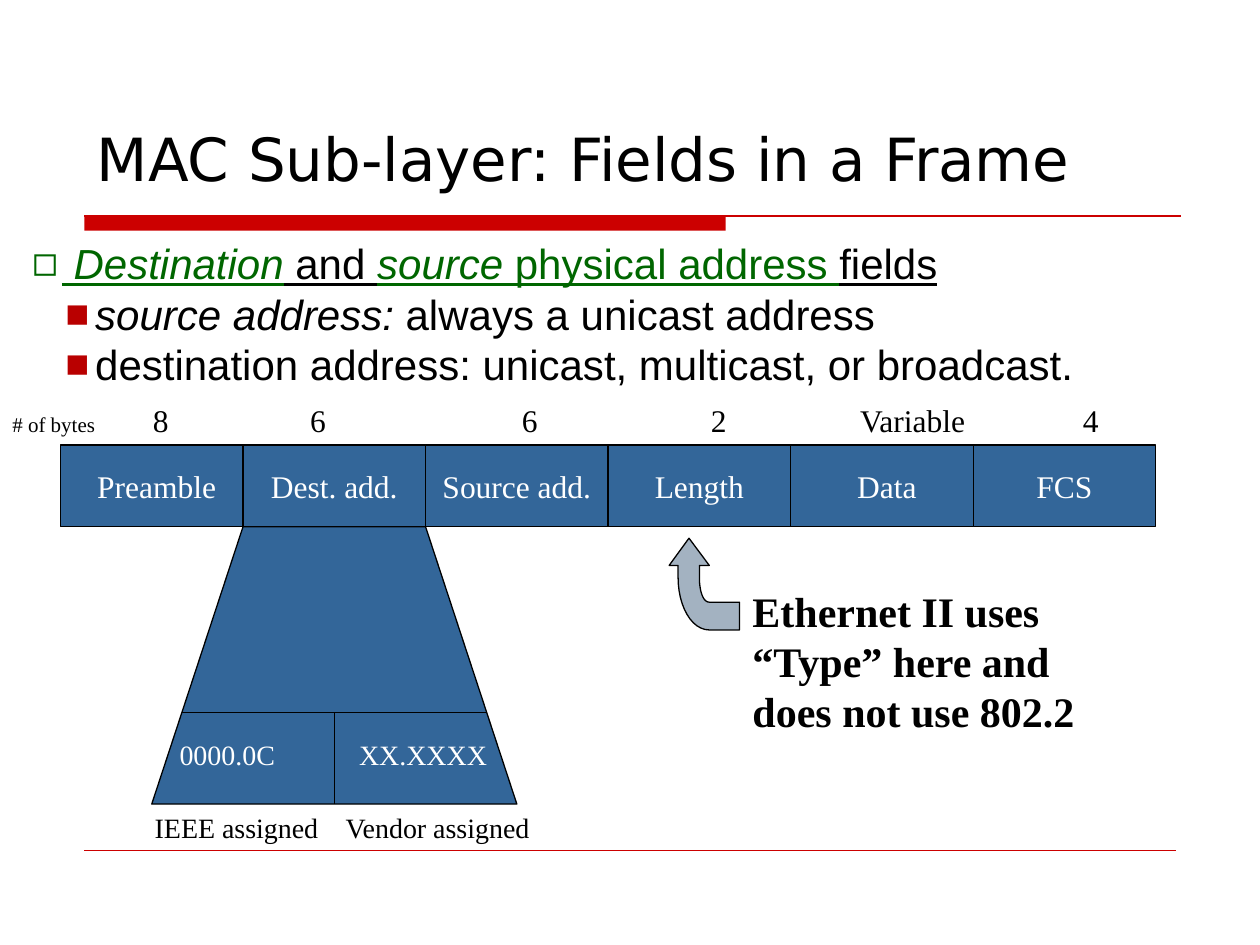
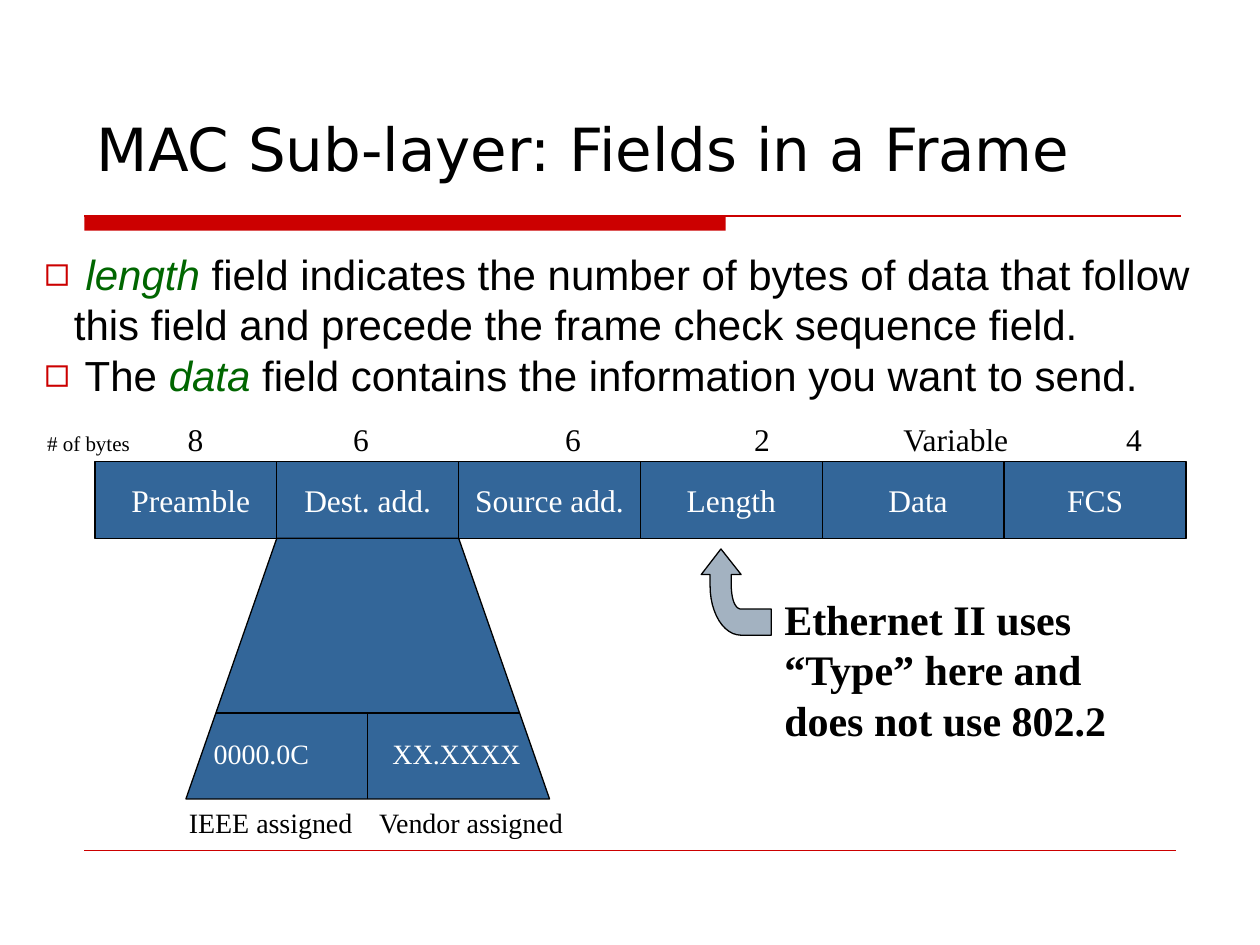
"""Build two slides on the fields of a MAC frame."""
from dataclasses import dataclass

from lxml.etree import SubElement
from pptx import Presentation
from pptx.dml.color import RGBColor
from pptx.enum.shapes import MSO_CONNECTOR, MSO_SHAPE
from pptx.enum.text import MSO_ANCHOR, MSO_AUTO_SIZE, PP_ALIGN
from pptx.oxml.ns import qn
from pptx.util import Cm, Pt

COLORS = {"red": "CC0000", "dark red": "B90000", "green": "006600", "blue": "336699",
          "grey": "A3B2C1", "black": "000000", "white": "FFFFFF"}
TITLE_FONT, BODY_FONT, DIAGRAM_FONT = "DejaVu Sans", "Arial", "Times New Roman"

FIELDS = ["Preamble", "Dest. add.", "Source add.", "Length", "Data", "FCS"]
BYTE_COUNTS = ["8", "6", "6", "2", "Variable", "4"]
BYTE_TABS = [2.99, 6.16, 10.43, 14.24, 18.15, 21.74]
WIDE_FIELDS = ("Preamble", "Data")
FIELD_LEFT, FIELD_TOP, FIELD_WIDTH, FIELD_HEIGHT = 1.22, 1.02, 3.68, 1.65


@dataclass
class Diagram:
    """Place and scale of a frame diagram on its page."""
    page: object
    left: float
    top: float
    scale_x: float = 1
    scale_y: float = 1

    def point(self, x, y):
        return Cm(self.left + self.scale_x * x), Cm(self.top + self.scale_y * y)

    def area(self, x, y, width, height):
        return *self.point(x, y), Cm(self.scale_x * width), Cm(self.scale_y * height)


def color(name):
    return RGBColor.from_string(COLORS[name])


def paint(shape, fill, line=None):
    shape.shadow.inherit = False
    shape.fill.solid()
    shape.fill.fore_color.rgb = color(fill)
    if line:
        shape.line.color.rgb = color(line)
        shape.line.width = Pt(0.75)
    else:
        shape.line.fill.background()


def add_line(page, start, end, line="black", width=0.75):
    connector = page.shapes.add_connector(MSO_CONNECTOR.STRAIGHT, *start, *end)
    connector.line.color.rgb = color(line)
    connector.line.width = Pt(width)
    SubElement(connector._element.spPr, qn("a:effectLst"))


def add_outline(diagram, points, fill):
    corners = [diagram.point(*point) for point in points]
    builder = diagram.page.shapes.build_freeform(*corners[0], scale=1.0)
    builder.add_line_segments(corners[1:], close=True)
    paint(builder.convert_to_shape(), fill, "black")


def curve(start, first, second, end, steps=12):
    """Return points along a cubic curve."""
    return [tuple((1 - t) ** 3 * a + 3 * (1 - t) ** 2 * t * b + 3 * (1 - t) * t ** 2 * c + t ** 3 * d
                  for a, b, c, d in zip(start, first, second, end))
            for t in (step / steps for step in range(steps + 1))]


def set_tabs(para, stops, align):
    tab_list = SubElement(para._p.get_or_add_pPr(), qn("a:tabLst"))
    for stop in stops:
        SubElement(tab_list, qn("a:tab"), pos=str(Cm(stop)), algn=align)


def set_bullet(para, char, bullet_color, indent, size=100):
    props = para._p.get_or_add_pPr()
    props.set("marL", str(Cm(indent)))
    props.set("indent", str(Cm(-0.6)))
    SubElement(SubElement(props, qn("a:buClr")), qn("a:srgbClr"), val=COLORS[bullet_color])
    SubElement(props, qn("a:buSzPct"), val=str(size * 1000))
    SubElement(props, qn("a:buFont"), typeface=BODY_FONT)
    SubElement(props, qn("a:buChar"), char=char)


def set_font(para, name, size, font_color="black", bold=None):
    font = para.font
    font.name, font.size, font.bold = name, Pt(size), bold
    font.color.rgb = color(font_color)
    para.line_spacing = Pt(1.2 * size)


def add_span(para, text, span_color=None, **style):
    span = para.add_run()
    span.text = text
    for key, value in style.items():
        setattr(span.font, key, value)
    if span_color:
        span.font.color.rgb = color(span_color)


def add_text(page, area):
    box = page.shapes.add_textbox(*area)
    box.text_frame.word_wrap = True
    return box.text_frame


def add_caption(diagram, area, text, size, font_color="black", bold=None):
    para = add_text(diagram.page, diagram.area(*area)).paragraphs[0]
    add_span(para, text)
    set_font(para, DIAGRAM_FONT, size, font_color, bold)


def add_field(diagram, index, name):
    width = FIELD_WIDTH + (0.2 if name in WIDE_FIELDS else 0)
    area = diagram.area(FIELD_LEFT + index * FIELD_WIDTH, FIELD_TOP, width, FIELD_HEIGHT)
    block = diagram.page.shapes.add_shape(MSO_SHAPE.RECTANGLE, *area)
    paint(block, "blue", "black")
    frame = block.text_frame
    frame.word_wrap = False
    frame.vertical_anchor = MSO_ANCHOR.MIDDLE
    para = frame.paragraphs[0]
    para.alignment = PP_ALIGN.CENTER
    add_span(para, name)
    set_font(para, DIAGRAM_FONT, 18, "white")


def add_byte_row(diagram, later_shift):
    para = add_text(diagram.page, diagram.area(0, 0, 23.7, 1.02)).paragraphs[0]
    set_tabs(para, BYTE_TABS[:1] + [stop + later_shift for stop in BYTE_TABS[1:]], "ctr")
    add_span(para, "# of bytes", size=Pt(12))
    add_span(para, "\t" + "\t".join(BYTE_COUNTS))
    set_font(para, DIAGRAM_FONT, 18)


def add_address_detail(diagram):
    """Draw the destination address widening into its two halves."""
    middle = FIELD_LEFT + 1.5 * FIELD_WIDTH
    top, split, bottom = FIELD_TOP + FIELD_HEIGHT, 6.42, 8.26
    half = FIELD_WIDTH / 2
    add_outline(diagram, [(middle - half, top), (middle + half, top),
                          (middle + 2 * half, bottom), (middle - 2 * half, bottom)], "blue")
    reach = half * (1 + (split - top) / (bottom - top))
    add_line(diagram.page, diagram.point(middle - reach, split), diagram.point(middle + reach, split))
    add_line(diagram.page, diagram.point(middle, split), diagram.point(middle, bottom))
    for code, code_left, owner, owner_left in [("0000.0C", 3.37, "IEEE assigned", 2.87),
                                               ("XX.XXXX", 6.99, "Vendor assigned", 6.72)]:
        add_caption(diagram, (code_left, 6.79, 3.3, 0.94), code, 16, "white")
        add_caption(diagram, (owner_left, 8.27, 4.5, 0.94), owner, 16)


def add_type_note(diagram):
    outer = curve((13.67, 3.68), (13.67, 4.27), (13.94, 4.75), (14.3, 4.75))
    inner = curve((14.3, 4.19), (14.17, 4.19), (14.1, 3.96), (14.1, 3.68))
    add_outline(diagram, [(13.89, 2.9), (13.49, 3.45), (13.67, 3.45), *outer, (14.91, 4.75),
                          (14.91, 4.19), *inner, (14.1, 3.45), (14.3, 3.45)], "grey")
    add_caption(diagram, (14.92, 3.72, 7.16, 3.3),
                "Ethernet II uses “Type” here and does not use 802.2", 24, bold=True)


def add_frame_diagram(diagram, later_shift=0):
    for index, name in enumerate(FIELDS):
        add_field(diagram, index, name)
    add_byte_row(diagram, later_shift)
    add_type_note(diagram)
    add_address_detail(diagram)


def add_page(deck, title_top, title_width):
    """Add a page with the shared title, band and footer rule."""
    page = deck.slides.add_slide(deck.slide_layouts[5])
    band = page.shapes.add_shape(MSO_SHAPE.RECTANGLE, Cm(1.7), Cm(4.35), Cm(12.93), Cm(0.3))
    paint(band, "red")
    add_line(page, (Cm(1.7), Cm(4.36)), (Cm(23.8), Cm(4.36)), "red", 1)
    add_line(page, (Cm(1.7), Cm(17.14)), (Cm(23.7), Cm(17.14)), "red", 0.25)
    title = page.shapes.title
    title.left, title.top, title.width, title.height = Cm(1.7), Cm(title_top), Cm(title_width), Cm(1.9)
    frame = title.text_frame
    frame.text = "MAC Sub-layer: Fields in a Frame"
    frame.auto_size = MSO_AUTO_SIZE.NONE
    frame.vertical_anchor = MSO_ANCHOR.BOTTOM
    para = frame.paragraphs[0]
    para.alignment = PP_ALIGN.LEFT
    set_font(para, TITLE_FONT, 34)
    return page


def add_bullets(page, area, items):
    frame = add_text(page, [Cm(value) for value in area])
    for index, (bullet, spans) in enumerate(items):
        para = frame.add_paragraph() if index else frame.paragraphs[0]
        set_bullet(para, *bullet)
        for text, style in spans:
            add_span(para, text, **style)
        set_font(para, BODY_FONT, 24)


def main():
    deck = Presentation()
    deck.slide_width, deck.slide_height = Cm(25.4), Cm(19.05)
    green = {"span_color": "green"}
    italic = {"italic": True}
    underline = {"underline": True}
    square = ("■", "dark red", 1.27, 95)
    open_square = ("◻", "red", 0.6)

    page = add_page(deck, 2.13, 21.16)
    add_bullets(page, (0.4, 4.67, 23.2, 3.3), [
        (("◻", "green", 0.6), [(" Destination", green | italic | underline), (" and ", underline),
                               ("source ", green | italic | underline),
                               ("physical address ", green | underline), ("fields", underline)]),
        (square, [("source address: ", italic), ("always a unicast address", {})]),
        (square, [("destination address: unicast, multicast, or broadcast.", {})])])
    add_frame_diagram(Diagram(page, 0, 7.95))

    page = add_page(deck, 1.93, 23.7)
    add_bullets(page, (0.64, 4.88, 24.76, 3.3), [
        (open_square, [(" length ", green | italic),
                       ("field indicates the number of bytes of data that follow this field "
                        "and precede the frame check sequence field.", {})]),
        (open_square, [(" The ", {}), ("data", green | italic),
                       (" field contains the information you want to send.", {})])])
    add_frame_diagram(Diagram(page, 0.7, 8.34, 0.996, 0.94), later_shift=0.17)
    deck.save("out.pptx")


if __name__ == "__main__":
    main()
